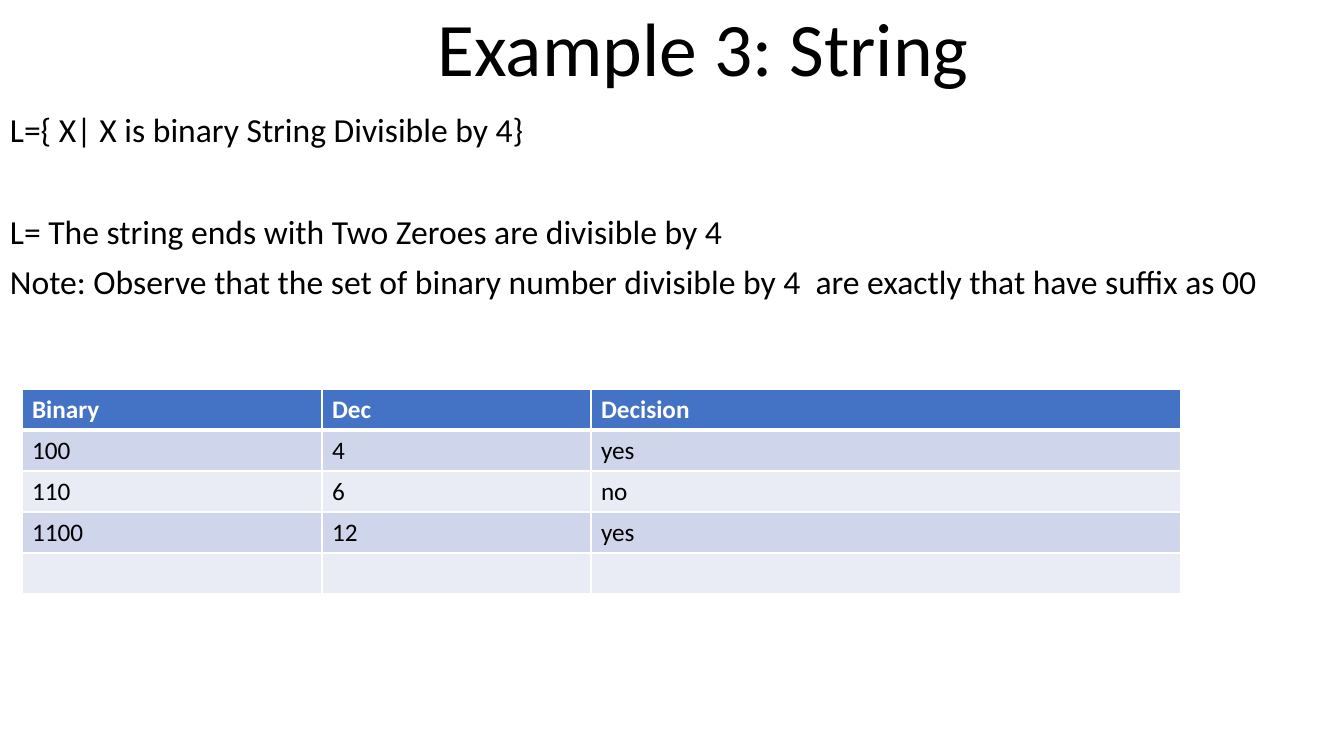
from dataclasses import dataclass

from lxml import etree
from pptx import Presentation
from pptx.dml.color import RGBColor
from pptx.enum.text import MSO_ANCHOR, PP_ALIGN
from pptx.oxml.ns import qn
from pptx.util import Emu, Pt

EMU_PER_PX = 914400 / 100.8
FONT = "Calibri"
BLACK, WHITE = "000000", "FFFFFF"
HEADER_FILL = "4472C4"
BAND_FILLS = ("CFD5EA", "E9EBF5")
CENTER, LEFT = PP_ALIGN.CENTER, PP_ALIGN.LEFT
TOP, BOTTOM = MSO_ANCHOR.TOP, MSO_ANCHOR.BOTTOM


@dataclass
class Line:
    text: str
    space_before: float = 0


@dataclass
class TextBlock:
    box: tuple[int, int, int, int]
    lines: list[Line]
    size: int
    align: PP_ALIGN = LEFT
    anchor: MSO_ANCHOR = TOP


TITLE = TextBlock((248, 19, 928, 79), [Line("Example 3: String ")], 54, CENTER, BOTTOM)
STATEMENTS = TextBlock(
    (0, 109, 1276, 269),
    [
        Line("L={ X| X is binary String Divisible by 4}"),
        Line("L= The string ends with Two Zeroes are divisible by 4", 46.4),
        Line("Note: Observe that the set of binary number divisible by 4  are exactly "
             "that have suffix as 00", 10),
    ],
    24,
)

DECISIONS = [
    ("Binary", "Dec", "Decision"),
    ("100", "4", "yes"),
    ("110", "6", "no"),
    ("1100", "12", "yes"),
    ("", "", ""),
]
COLUMN_WIDTHS = (300, 269, 590)
ROW_HEIGHT = 41
TABLE_LEFT, TABLE_TOP = 22, 389


def px(length: int) -> Emu:
    return Emu(round(length * EMU_PER_PX))


def color(value: str) -> RGBColor:
    return RGBColor.from_string(value)


def add_run(paragraph, text: str, size: int, ink: str, bold: bool = False) -> None:
    run = paragraph.add_run()
    run.text = text
    run.font.name = FONT
    run.font.size = Pt(size)
    run.font.bold = bold
    run.font.color.rgb = color(ink)


def add_text_block(slide, block: TextBlock) -> None:
    frame = slide.shapes.add_textbox(*map(px, block.box)).text_frame
    frame.word_wrap = True
    frame.vertical_anchor = block.anchor
    for index, line in enumerate(block.lines):
        paragraph = frame.add_paragraph() if index else frame.paragraphs[0]
        paragraph.alignment = block.align
        paragraph.line_spacing = 0.9
        paragraph.space_before = Pt(line.space_before)
        add_run(paragraph, line.text, block.size, BLACK)


def set_borders(cell, top: int, bottom: int) -> None:
    properties = cell._tc.get_or_add_tcPr()
    widths = {"a:lnL": 1, "a:lnR": 1, "a:lnT": top, "a:lnB": bottom}
    for position, (tag, width) in enumerate(widths.items()):
        border = etree.Element(qn(tag), w=str(Pt(width)))
        fill = etree.SubElement(border, qn("a:solidFill"))
        etree.SubElement(fill, qn("a:srgbClr"), val=WHITE)
        properties.insert(position, border)


def add_decision_table(slide) -> None:
    table = slide.shapes.add_table(
        len(DECISIONS), len(COLUMN_WIDTHS), px(TABLE_LEFT), px(TABLE_TOP),
        px(sum(COLUMN_WIDTHS)), px(ROW_HEIGHT * len(DECISIONS)),
    ).table
    for column, width in zip(table.columns, COLUMN_WIDTHS):
        column.width = px(width)
    for row_index, entries in enumerate(DECISIONS):
        table.rows[row_index].height = px(ROW_HEIGHT)
        header = row_index == 0
        row_fill = HEADER_FILL if header else BAND_FILLS[(row_index - 1) % 2]
        for column_index, entry in enumerate(entries):
            cell = table.cell(row_index, column_index)
            cell.fill.solid()
            cell.fill.fore_color.rgb = color(row_fill)
            # A thick rule separates the header from the body
            set_borders(cell, 3 if row_index == 1 else 1, 3 if header else 1)
            if entry:
                add_run(cell.text_frame.paragraphs[0], entry, 18,
                        WHITE if header else BLACK, header)


def main() -> None:
    presentation = Presentation()
    presentation.slide_width, presentation.slide_height = px(1344), px(756)
    slide = presentation.slides.add_slide(presentation.slide_layouts[6])

    # Title and statements
    for block in (TITLE, STATEMENTS):
        add_text_block(slide, block)

    # Divisibility decisions
    add_decision_table(slide)

    presentation.save("out.pptx")


if __name__ == "__main__":
    main()
